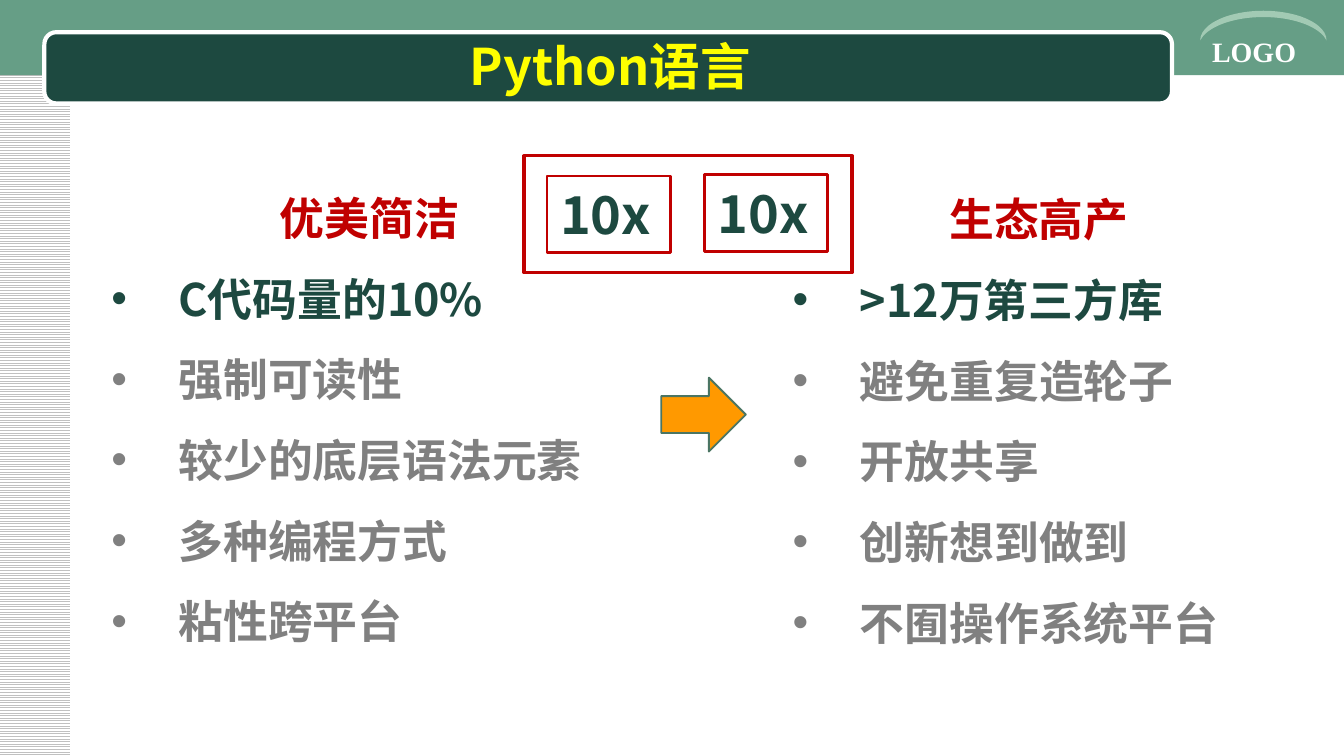
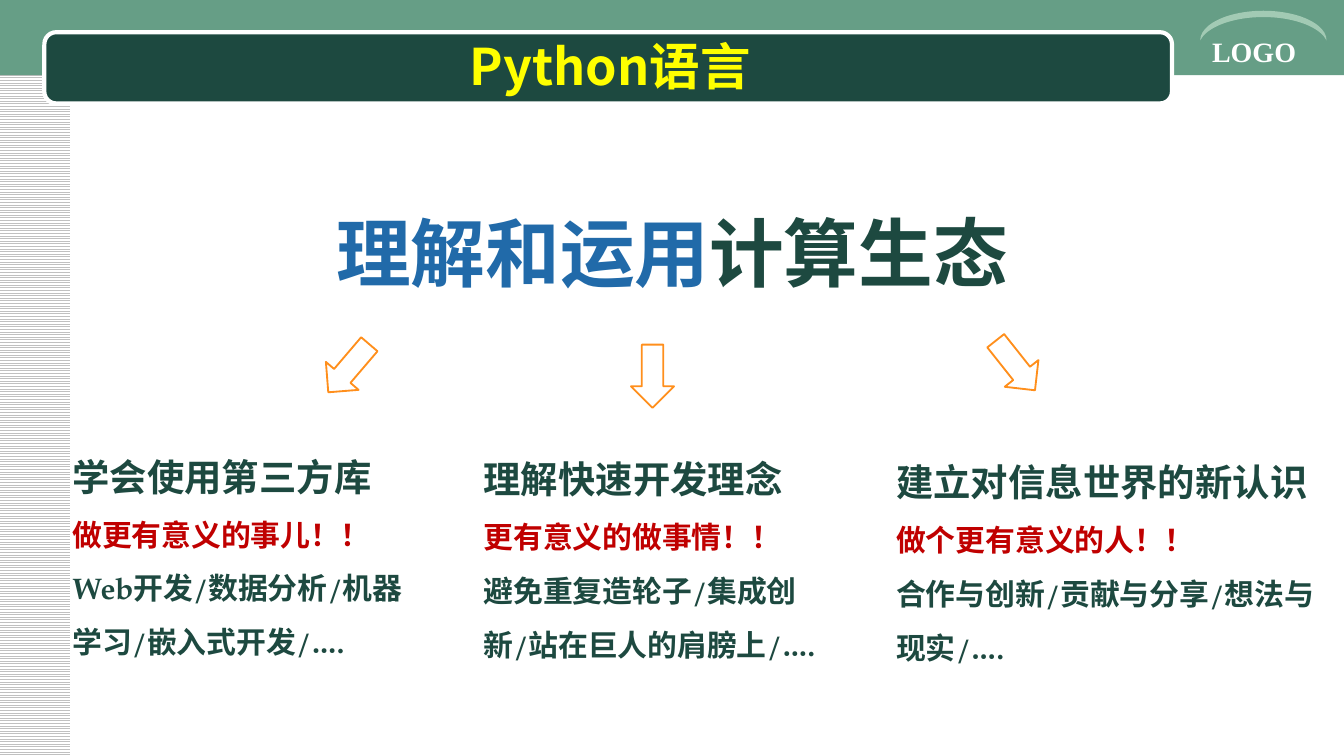
from lxml.etree import SubElement
from pptx import Presentation
from pptx.dml.color import RGBColor
from pptx.enum.dml import MSO_PATTERN
from pptx.enum.shapes import MSO_SHAPE
from pptx.enum.text import MSO_ANCHOR, PP_ALIGN
from pptx.oxml.ns import qn
from pptx.util import Inches, Pt

# Shared colours and fonts
WHITE = RGBColor(0xFF, 0xFF, 0xFF)
STRIPE = RGBColor(0xC0, 0xC0, 0xC0)
BAND = RGBColor(0x66, 0x9E, 0x86)
DARK = RGBColor(0x1D, 0x49, 0x40)
CRESCENT = RGBColor(0xA2, 0xCA, 0xB4)
YELLOW = RGBColor(0xFF, 0xFF, 0x00)
RED = RGBColor(0xC0, 0x00, 0x00)
GREY = RGBColor(0x80, 0x80, 0x80)
BLUE = RGBColor(0x21, 0x6A, 0xA9)
ORANGE = RGBColor(0xFF, 0x99, 0x00)
ARROW_EDGE = RGBColor(0x4B, 0x75, 0x63)
ARROW_OUTLINE = RGBColor(0xFF, 0x8F, 0x1C)
SANS = "Noto Sans CJK SC"
SERIF = "TeX Gyre Pagella"
LOGO_FONT = "Times New Roman"


def add_box(slide, kind, at, fill=None, line=None, width=1.0, rotation=0, adjust=None):
    box = slide.shapes.add_shape(kind, *map(Inches, at))
    box.shadow.inherit = False
    box.rotation = rotation
    if adjust is not None:
        box.adjustments[0] = adjust
    if fill is None:
        box.fill.background()
    else:
        box.fill.solid()
        box.fill.fore_color.rgb = fill
    if line is None:
        box.line.fill.background()
    else:
        box.line.color.rgb = line
        box.line.width = Pt(width)
    return box


def add_text_frame(slide, at, anchor=MSO_ANCHOR.TOP):
    frame = slide.shapes.add_textbox(*map(Inches, at)).text_frame
    frame.word_wrap = True
    frame.vertical_anchor = anchor
    return frame


def format_run(run, size, color, font=SANS):
    run.font.size = Pt(size)
    run.font.bold = True
    run.font.color.rgb = color
    run.font.name = font
    east_asian = SubElement(run._r.get_or_add_rPr(), qn("a:ea"))
    east_asian.set("typeface", SANS)


def write_line(paragraph, text, size, color, font=SANS, align=PP_ALIGN.LEFT, spacing=1.5):
    paragraph.text = text
    paragraph.alignment = align
    paragraph.line_spacing = spacing
    format_run(paragraph.runs[0], size, color, font)


def add_bullet(paragraph):
    properties = paragraph._p.get_or_add_pPr()
    properties.set("marL", str(Inches(0.5)))
    properties.set("indent", str(Inches(-0.5)))
    SubElement(properties, qn("a:buFont")).set("typeface", "Arial")
    SubElement(properties, qn("a:buChar")).set("char", "•")


def add_base_slide(deck, title):
    """Slide with the side stripes, top band, logo corner and title bar."""
    slide = deck.slides.add_slide(deck.slide_layouts[6])
    stripes = add_box(slide, MSO_SHAPE.RECTANGLE, (-0.01, 0, 0.53, 5.62))
    stripes.fill.patterned()
    stripes.fill.pattern = MSO_PATTERN.LIGHT_HORIZONTAL
    stripes.fill.fore_color.rgb = STRIPE
    stripes.fill.back_color.rgb = WHITE
    add_box(slide, MSO_SHAPE.RECTANGLE, (0, 0, 10.01, 0.56), BAND)
    add_box(slide, MSO_SHAPE.ROUNDED_RECTANGLE, (0.33, 0.24, 8.39, 0.53),
            DARK, WHITE, 2.25, adjust=0.167)
    logo = add_text_frame(slide, (8.92, 0.21, 1.08, 0.35))
    write_line(logo.paragraphs[0], "LOGO", 15, WHITE, LOGO_FONT, spacing=1.0)
    add_box(slide, MSO_SHAPE.MOON, (9.29, -0.28, 0.22, 0.94), CRESCENT,
            rotation=90, adjust=0.212)
    heading = add_text_frame(slide, (0.5, 0.26, 8.08, 0.46), MSO_ANCHOR.MIDDLE)
    write_line(heading.paragraphs[0], title, 27, YELLOW, align=PP_ALIGN.CENTER, spacing=1.0)
    return slide


def add_feature_list(slide, at, heading, features):
    """Red heading over bullets, the first of them emphasised."""
    frame = add_text_frame(slide, at)
    write_line(frame.paragraphs[0], heading, 24, RED, align=PP_ALIGN.CENTER)
    for index, feature in enumerate(features):
        paragraph = frame.add_paragraph()
        add_bullet(paragraph)
        write_line(paragraph, feature, 24, GREY if index else DARK)


def add_factor(slide, left, top):
    factor = add_box(slide, MSO_SHAPE.RECTANGLE, (left, top, 0.92, 0.57), line=RED, width=1.5)
    frame = factor.text_frame
    frame.word_wrap = False
    frame.vertical_anchor = MSO_ANCHOR.TOP
    write_line(frame.paragraphs[0], "10x", 28, DARK, spacing=1.0)


def add_goal(slide, at, goal, meaning, examples):
    frame = add_text_frame(slide, at)
    write_line(frame.paragraphs[0], goal, 20, DARK, SERIF)
    write_line(frame.add_paragraph(), meaning, 16, RED, SERIF)
    write_line(frame.add_paragraph(), examples, 16, DARK, SERIF)


def build_strengths(deck):
    slide = add_base_slide(deck, "Python语言")
    add_feature_list(slide, (0.73, 1.17, 4.04, 3.74), "优美简洁",
                     ["C代码量的10%", "强制可读性", "较少的底层语法元素",
                      "多种编程方式", "粘性跨平台"])
    add_box(slide, MSO_SHAPE.RIGHT_ARROW, (4.92, 2.81, 0.63, 0.55), ORANGE, ARROW_EDGE)
    add_feature_list(slide, (5.8, 1.18, 3.86, 3.74), "生态高产",
                     [">12万第三方库", "避免重复造轮子", "开放共享",
                      "创新想到做到", "不囿操作系统平台"])
    # Two factors inside a common frame
    add_factor(slide, 4.07, 1.31)
    add_factor(slide, 5.24, 1.3)
    add_box(slide, MSO_SHAPE.RECTANGLE, (3.9, 1.16, 2.44, 0.87), line=RED, width=1.75)


def build_ecosystem(deck):
    slide = add_base_slide(deck, "Python语言")
    # Theme line in two colours
    theme = add_text_frame(slide, (0.42, 1.16, 9.16, 0.99)).paragraphs[0]
    write_line(theme, "理解和运用", 40, BLUE, align=PP_ALIGN.CENTER)
    subject = theme.add_run()
    subject.text = "计算生态"
    format_run(subject, 40, DARK)
    # Arrows fanning out to the goals
    for left, top, rotation in ((2.36, 2.58, 130.5), (4.62, 2.64, 90), (7.32, 2.56, 51.6)):
        add_box(slide, MSO_SHAPE.RIGHT_ARROW, (left, top, 0.47, 0.32),
                line=ARROW_OUTLINE, rotation=rotation)
    add_goal(slide, (0.44, 3.16, 2.71, 1.82), "学会使用第三方库", "做更有意义的事儿！！",
             "Web开发/数据分析/机器学习/嵌入式开发/….")
    add_goal(slide, (3.5, 3.18, 2.71, 1.77), "理解快速开发理念", "更有意义的做事情！！",
             "避免重复造轮子/集成创新/站在巨人的肩膀上/….")
    add_goal(slide, (6.57, 3.2, 3.32, 1.82), "建立对信息世界的新认识", "做个更有意义的人！！",
             "合作与创新/贡献与分享/想法与现实/….")


def main():
    deck = Presentation()
    # Widescreen 16:9
    deck.slide_width = Inches(10)
    deck.slide_height = Inches(10 * 9 / 16)
    build_strengths(deck)
    build_ecosystem(deck)
    deck.save("out.pptx")


if __name__ == "__main__":
    main()
